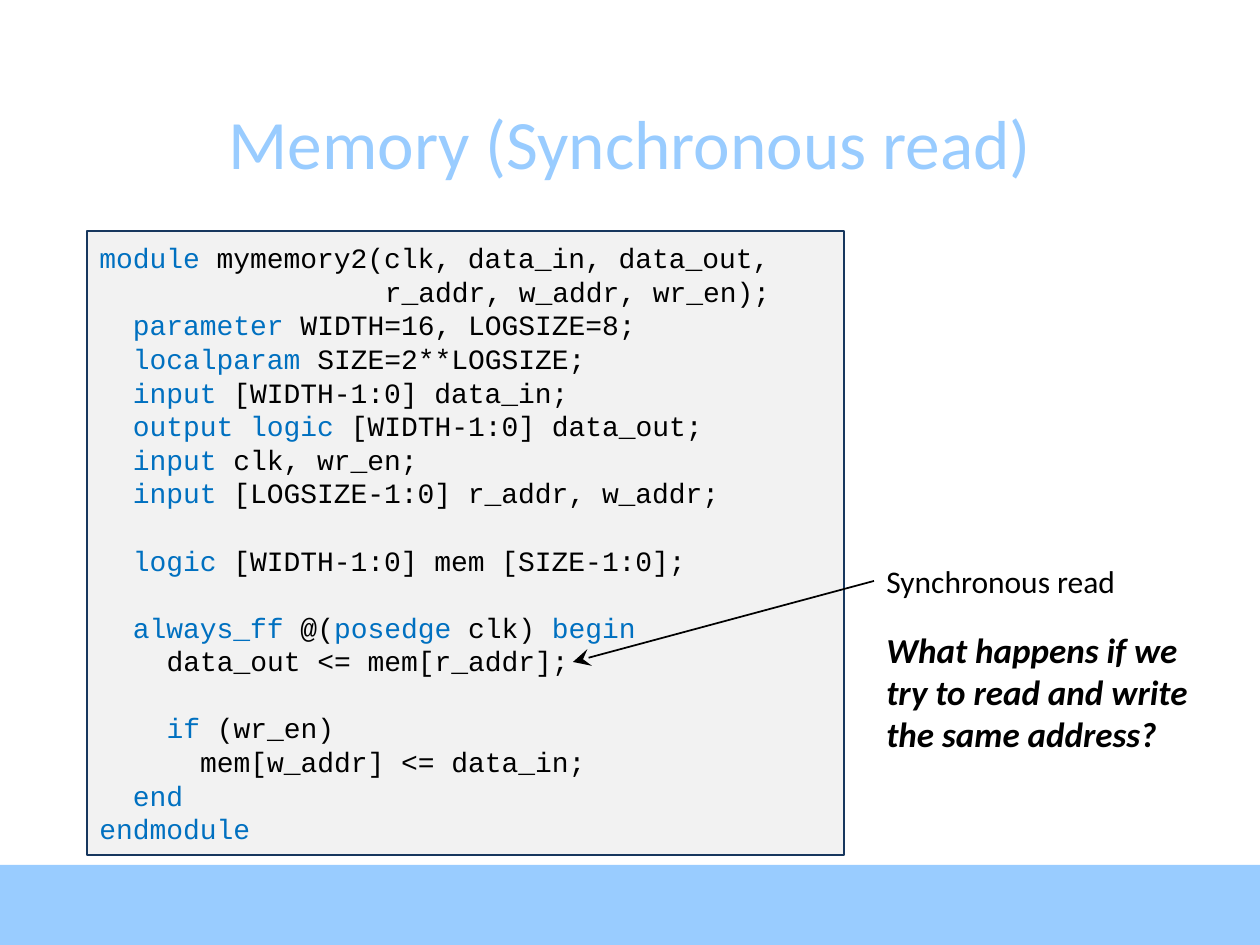
from dataclasses import dataclass

import pptx
import pptx.dml.color
import pptx.enum.shapes
import pptx.enum.text
import pptx.oxml
import pptx.oxml.ns
import pptx.util
from lxml import etree

PX = 914400 // 126
SKY, KEYWORD, BLACK = "99CCFF", "0070C0", "000000"
CODE_SIZE, CODE_PITCH, CHAR_WIDTH = 16, 19.2, 9.6  # points
ANCHOR = pptx.enum.text.MSO_ANCHOR
ALIGN = pptx.enum.text.PP_ALIGN


@dataclass
class CodeLine:
    """A line of code; keywords stand between backticks."""
    indent: int
    text: str
    gap: bool = False


@dataclass
class Label:
    """A text box with one paragraph of Calibri."""
    box: tuple[int, int, int, int]
    text: str
    size: float
    color: str = BLACK
    emphasis: bool = False
    wrap: bool = True
    align: ALIGN = ALIGN.LEFT
    anchor: ANCHOR = ANCHOR.TOP


CODE = [
    CodeLine(0, "`module` mymemory2(clk, data_in, data_out,"),
    CodeLine(17, "r_addr, w_addr, wr_en);"),
    CodeLine(2, "`parameter` WIDTH=16, LOGSIZE=8;"),
    CodeLine(2, "`localparam` SIZE=2**LOGSIZE;"),
    CodeLine(2, "`input` [WIDTH-1:0] data_in;"),
    CodeLine(2, "`output logic` [WIDTH-1:0] data_out;"),
    CodeLine(2, "`input` clk, wr_en;"),
    CodeLine(2, "`input` [LOGSIZE-1:0] r_addr, w_addr;"),
    CodeLine(2, "`logic` [WIDTH-1:0] mem [SIZE-1:0];", gap=True),
    CodeLine(2, "`always_ff` @(`posedge` clk) `begin`", gap=True),
    CodeLine(4, "data_out <= mem[r_addr];"),
    CodeLine(4, "`if` (wr_en)", gap=True),
    CodeLine(6, "mem[w_addr] <= data_in;"),
    CodeLine(2, "`end`"),
    CodeLine(0, "`endmodule`"),
]

LABELS = [
    Label((87, 93, 1086, 97), "Memory (Synchronous read)", 39.6, SKY,
          align=ALIGN.CENTER, anchor=ANCHOR.MIDDLE),
    Label((874, 556, 258, 50), "Synchronous read", 18, wrap=False),
    Label((874, 622, 358, 140),
          "What happens if we try to read and write the same address?",
          20, emphasis=True),
]


def rgb(color: str) -> pptx.dml.color.RGBColor:
    """Turn a hex string into a colour."""
    return pptx.dml.color.RGBColor.from_string(color)


def emu(pixels: tuple[int, ...]) -> list[int]:
    """Turn pixels into EMU."""
    return [n * PX for n in pixels]


def add_box(slide, box: tuple[int, int, int, int], fill: str, line: str = ""):
    """Add a filled rectangle, outlined if a line colour is given."""
    sp = slide.shapes.add_shape(
        pptx.enum.shapes.MSO_SHAPE.RECTANGLE, *emu(box))
    sp.shadow.inherit = False
    sp.fill.solid()
    sp.fill.fore_color.rgb = rgb(fill)
    if line:
        sp.line.color.rgb = rgb(line)
        sp.line.width = pptx.util.Pt(0.75)
    else:
        sp.line.fill.background()
    return sp


def add_code(sp, lines: list[CodeLine]) -> None:
    """Write the code into a shape, with coloured keywords."""
    tf = sp.text_frame
    tf.word_wrap = True
    tf.vertical_anchor = ANCHOR.MIDDLE
    for i, line in enumerate(lines):
        p = tf.add_paragraph() if i else tf.paragraphs[0]
        p.alignment = ALIGN.LEFT
        p.line_spacing = pptx.util.Pt(CODE_PITCH)
        p.space_before = pptx.util.Pt(CODE_PITCH if line.gap else 0)
        p.font.name = "Courier New"
        p.font.size = pptx.util.Pt(CODE_SIZE)
        margin = pptx.util.Pt(line.indent * CHAR_WIDTH)
        p._p.get_or_add_pPr().set("marL", str(int(margin)))
        for j, part in enumerate(line.text.split("`")):
            if part:
                r = p.add_run()
                r.text = part
                r.font.color.rgb = rgb(KEYWORD if j % 2 else BLACK)


def add_label(slide, label: Label) -> None:
    """Add a text box."""
    tf = slide.shapes.add_textbox(*emu(label.box)).text_frame
    tf.word_wrap = label.wrap
    tf.vertical_anchor = label.anchor
    p = tf.paragraphs[0]
    p.text = label.text
    p.alignment = label.align
    p.font.name = "Calibri"
    p.font.size = pptx.util.Pt(label.size)
    p.font.color.rgb = rgb(label.color)
    p.font.bold = p.font.italic = label.emphasis


def add_arrow(slide, tip: tuple[int, int], end: tuple[int, int]) -> None:
    """Add a line with a stealth arrowhead at its tip."""
    line = slide.shapes.add_connector(
        pptx.enum.shapes.MSO_CONNECTOR.STRAIGHT, *emu(tip + end))
    line.line.color.rgb = rgb(BLACK)
    line.line.width = pptx.util.Pt(1)
    qn = pptx.oxml.ns.qn
    etree.SubElement(line.line._get_or_add_ln(), qn("a:headEnd"),
                     type="stealth", w="lg", len="lg")
    etree.SubElement(line._element.spPr, qn("a:effectLst"))


def main() -> None:
    """Build and save the slide."""
    prs = pptx.Presentation()
    prs.slide_width, prs.slide_height = emu((1260, 945))
    slide = prs.slides.add_slide(prs.slide_layouts[6])
    add_box(slide, (0, 865, 1260, 80), SKY)
    add_code(add_box(slide, (87, 231, 757, 624), "F2F2F2", "17375E"), CODE)
    for label in LABELS:
        add_label(slide, label)
    add_arrow(slide, (573, 662), (874, 581))
    prs.save("out.pptx")


main()
